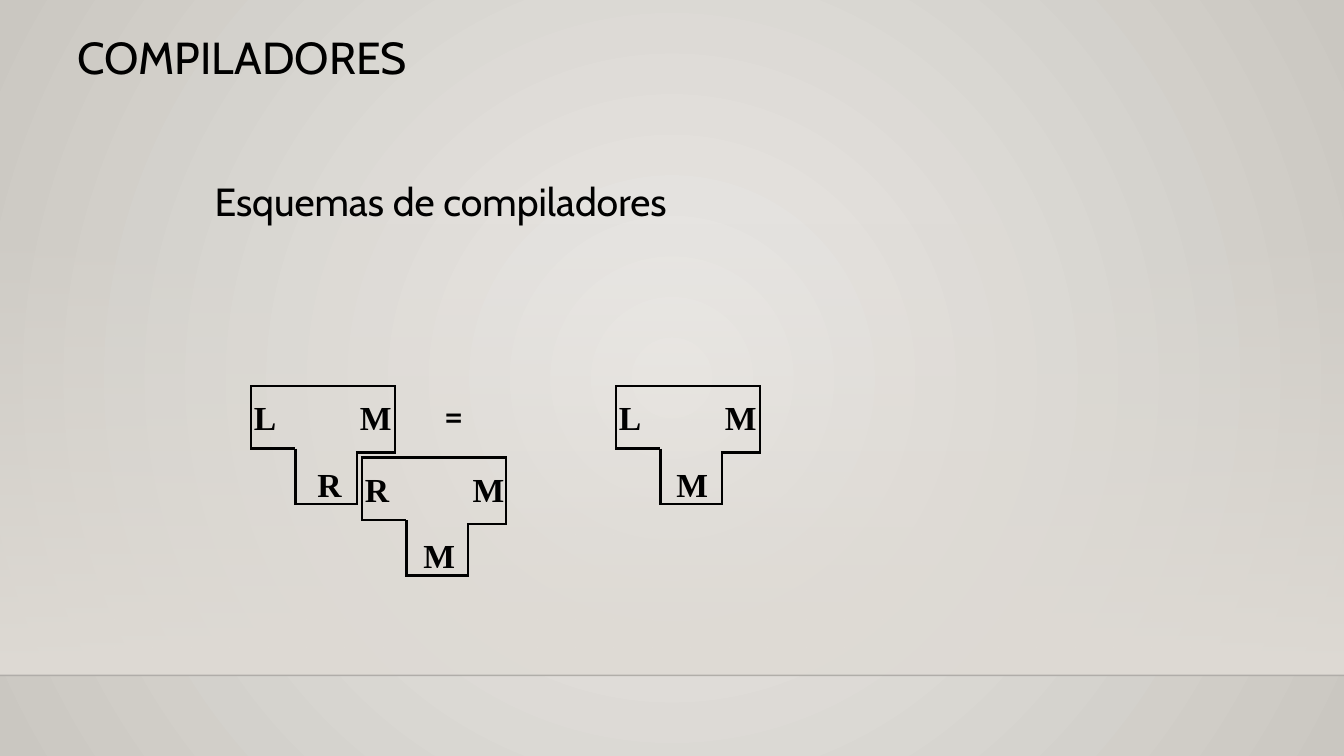
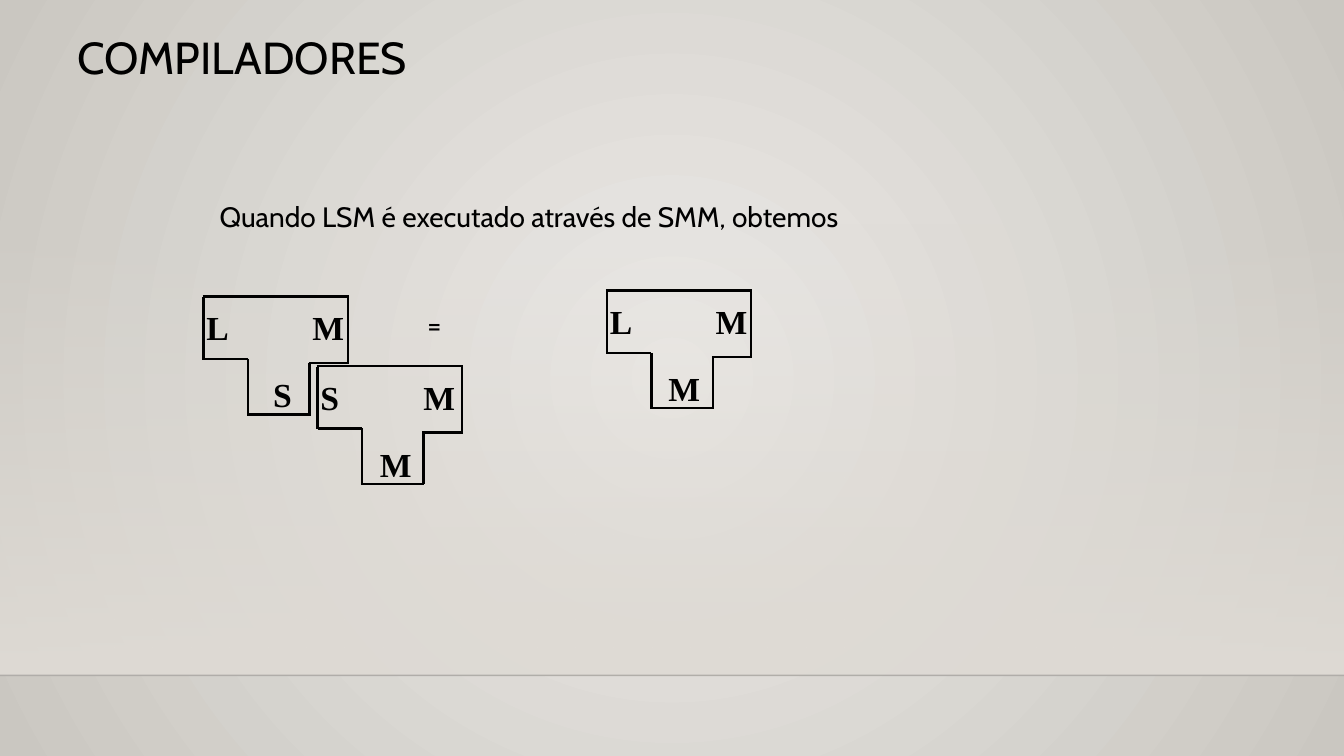
from dataclasses import dataclass

from lxml.etree import SubElement
from pptx import Presentation
from pptx.dml.color import RGBColor
from pptx.enum.shapes import MSO_CONNECTOR as CONN, MSO_SHAPE as SHAPE
from pptx.enum.text import PP_ALIGN as ALIGN
from pptx.oxml import parse_xml
from pptx.oxml.ns import nsdecls, qn
from pptx.util import Inches, Pt


@dataclass(frozen=True)
class Theme:
    ink: str = "000000"
    rule: str = "000001"
    center: str = "ECEAE7"
    edge: str = "CAC7C1"
    band: str = "DFDBD5"
    font: str = "Cabin"
    label_font: str = "Times New Roman"
    title_size: float = 32
    label_size: float = 24
    outline: float = 1.75


@dataclass(frozen=True)
class TDiagram:
    """Compiler diagram; x and y are the top left corner of its bar."""
    x: float
    y: float
    source: str
    target: str
    host: str
    host_dx: float = 0.51
    target_tab: float = 1.05


@dataclass(frozen=True)
class Equals:
    center: float
    top: float


@dataclass(frozen=True)
class Page:
    heading: str
    size: float
    left: float
    top: float
    equals: Equals
    diagrams: tuple[TDiagram, ...]


THEME = Theme()
TITLE = "COMPILADORES"
SLIDE_W, SLIDE_H = 13.33, 7.5
BAND_TOP, BAND_BOTTOM = 2.21, 6.7
# Strokes of the T (x1, y1, x2, y2), relative to the top left of its bar
T_STROKES = [
    (-0.01, 0, 1.44, 0),
    (0, 0.01, 0, 0.63),
    (1.43, 0, 1.43, 0.66),
    (1.04, 0.66, 1.44, 0.66),
    (1.05, 0.66, 1.05, 1.17),
    (0.43, 1.17, 1.06, 1.17),
    (0, 0.62, 0.44, 0.62),
    (0.44, 0.62, 0.44, 1.17),
]

PAGES = [
    Page("Esquemas de compiladores", 28, 2.03, 1.62, Equals(4.5, 3.82), (
        TDiagram(2.49, 3.83, "L", "M", "R", 0.56),
        TDiagram(3.59, 4.54, "R", "M", "M", target_tab=1.07),
        TDiagram(6.11, 3.83, "L", "M", "M", 0.5),
    )),
    Page("Quando LSM é executado através de SMM, obtemos", 20, 2.08, 1.86,
         Equals(4.31, 3), (
             TDiagram(3.15, 3.63, "S", "M", "M", 0.52, target_tab=1.02),
             TDiagram(2.02, 2.94, "L", "M", "S", 0.59),
             TDiagram(6.02, 2.88, "L", "M", "M"),
         )),
]


def gradient(start: str, end: str, direction: str, start_alpha: int = 100):
    """Two-stop gradient fill element; alpha is in percent."""
    return parse_xml(
        f'<a:gradFill {nsdecls("a")} rotWithShape="1"><a:gsLst>'
        f'<a:gs pos="0"><a:srgbClr val="{start}">'
        f'<a:alpha val="{start_alpha * 1000}"/></a:srgbClr></a:gs>'
        f'<a:gs pos="100000"><a:srgbClr val="{end}"/></a:gs>'
        f'</a:gsLst>{direction}</a:gradFill>')


def replace_fill(fill, parent, element) -> None:
    fill.solid()
    parent.replace(parent.find(qn("a:solidFill")), element)


def add_text(slide, text: str, left: float, top: float, width: float,
             height: float, size: float, font: str = THEME.font,
             bold: bool = False, spacing: float = 1.0,
             align: ALIGN = ALIGN.LEFT, tab: float = 0) -> None:
    box = slide.shapes.add_textbox(
        Inches(left), Inches(top), Inches(width), Inches(height))
    tf = box.text_frame
    tf.word_wrap = True
    p = tf.paragraphs[0]
    p.text = text
    p.alignment = align
    p.line_spacing = spacing
    if tab:
        tabs = SubElement(p._p.get_or_add_pPr(), qn("a:tabLst"))
        SubElement(tabs, qn("a:tab"), pos=str(Inches(tab)), algn="l")
    for r in p.runs:
        r.font.name = font
        r.font.size = Pt(size)
        r.font.bold = bold
        r.font.color.rgb = RGBColor.from_string(THEME.ink)


def add_line(slide, x1: float, y1: float, x2: float, y2: float,
             color: str, width: float):
    line = slide.shapes.add_connector(
        CONN.STRAIGHT, Inches(x1), Inches(y1), Inches(x2), Inches(y2))
    line.line.width = Pt(width)
    line.line.color.rgb = RGBColor.from_string(color)
    SubElement(line._element.spPr, qn("a:effectLst"))
    return line


def set_background(prs) -> None:
    fill = prs.slide_master.background.fill
    bg = prs.slide_master._element.cSld.bg.bgPr
    circle = ('<a:path path="circle"><a:fillToRect l="50000" t="50000" '
              'r="50000" b="50000"/></a:path>')
    replace_fill(fill, bg, gradient(THEME.center, THEME.edge, circle))


def add_frame(slide) -> None:
    # Fading band
    sp = slide.shapes.add_shape(
        SHAPE.RECTANGLE, 0, Inches(BAND_TOP), Inches(SLIDE_W),
        Inches(BAND_BOTTOM - BAND_TOP))
    sp.shadow.inherit = False
    sp.line.fill.background()
    down = '<a:lin ang="5400000" scaled="0"/>'
    replace_fill(sp.fill, sp._element.spPr,
                 gradient(THEME.band, THEME.band, down, start_alpha=0))

    # Faint rule under the band
    rule = add_line(slide, 0, BAND_BOTTOM, SLIDE_W, BAND_BOTTOM,
                    THEME.rule, 1)
    color = rule._element.spPr.find(".//" + qn("a:srgbClr"))
    SubElement(color, qn("a:alpha"), val="20000")

    # Title
    add_text(slide, TITLE, 0.67, 0.31, 12, 1.25, THEME.title_size,
             spacing=0.9)


def add_diagram(slide, d: TDiagram) -> None:
    # Outline
    for x1, y1, x2, y2 in T_STROKES:
        add_line(slide, d.x + x1, d.y + y1, d.x + x2, d.y + y2,
                 THEME.ink, THEME.outline)

    # Source and target in the bar, host language in the stem
    add_text(slide, f"{d.source}\t{d.target}", d.x - 0.07, d.y + 0.06, 1.73,
             0.51, THEME.label_size, THEME.label_font, bold=True,
             tab=d.target_tab)
    add_text(slide, d.host, d.x + d.host_dx, d.y + 0.72, 0.59, 0.51,
             THEME.label_size, THEME.label_font, bold=True)


def add_page(prs, page: Page) -> None:
    slide = prs.slides.add_slide(prs.slide_layouts[6])
    add_frame(slide)
    add_text(slide, page.heading, page.left, page.top, 9.27, 0.7, page.size,
             spacing=1.2)
    add_text(slide, "=", page.equals.center - 0.3, page.equals.top, 0.6, 0.6,
             page.size, align=ALIGN.CENTER)
    for d in page.diagrams:
        add_diagram(slide, d)


def main() -> None:
    prs = Presentation()
    prs.slide_width, prs.slide_height = Inches(SLIDE_W), Inches(SLIDE_H)
    set_background(prs)
    for page in PAGES:
        add_page(prs, page)
    prs.save("out.pptx")


if __name__ == "__main__":
    main()
